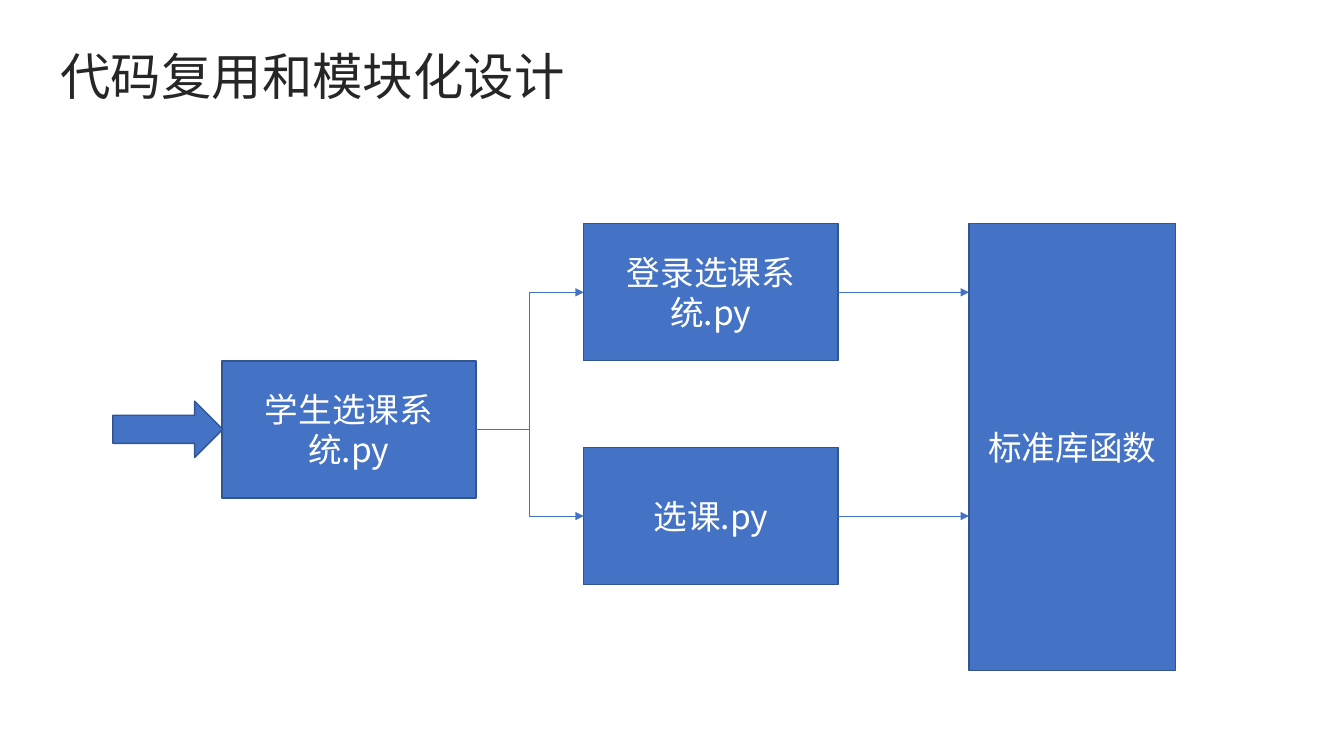
from pptx import Presentation
from pptx.dml.color import RGBColor
from pptx.enum.shapes import MSO_CONNECTOR as Conn, MSO_SHAPE as Kind
from pptx.enum.text import MSO_ANCHOR as Anchor, MSO_AUTO_SIZE as Fit, PP_ALIGN as Align
from pptx.oxml.ns import qn
from pptx.util import Inches, Pt
from lxml.etree import SubElement

FONT = "Noto Sans CJK SC"
BLUE = RGBColor(0x44, 0x72, 0xC4)
EDGE = RGBColor(0x32, 0x54, 0x91)
WHITE = RGBColor(0xFF, 0xFF, 0xFF)
DARK = RGBColor(0x26, 0x26, 0x26)
LEFT, RIGHT = 1, 3


def write(shape, text, size, color, align, anchor):
    frame = shape.text_frame
    frame.text = text
    frame.word_wrap = True
    frame.auto_size = Fit.NONE
    frame.vertical_anchor = anchor
    para = frame.paragraphs[0]
    para.alignment = align
    run = para.runs[0]
    run.font.size = Pt(size)
    run.font.name = FONT
    run.font.color.rgb = color
    SubElement(run.font._element, qn("a:ea")).set("typeface", FONT)
    return para


def add_title(slide, box, text):
    title = slide.shapes.title
    title.left, title.top, title.width, title.height = map(Inches, box)
    para = write(title, text, 36, DARK, Align.LEFT, Anchor.BOTTOM)
    para.line_spacing = 0.9


def add_block(slide, kind, box, text=""):
    block = slide.shapes.add_shape(kind, *map(Inches, box))
    block.shadow.inherit = False
    block.fill.solid()
    block.fill.fore_color.rgb = BLUE
    block.line.color.rgb = EDGE
    block.line.width = Pt(1)
    if text:
        write(block, text, 24, WHITE, Align.CENTER, Anchor.MIDDLE)
    return block


def add_link(slide, kind, start, end):
    y = end.top + end.height // 2 if kind == Conn.ELBOW else start.top + start.height // 2
    link = slide.shapes.add_connector(kind, start.left + start.width, y, end.left, y)
    link.begin_connect(start, RIGHT)
    if kind == Conn.ELBOW:
        link.end_connect(end, LEFT)
    link.line.color.rgb = BLUE
    link.line.width = Pt(0.5)
    SubElement(link.line._get_or_add_ln(), qn("a:tailEnd")).set("type", "triangle")
    SubElement(link._element.spPr, qn("a:effectLst"))


def add_flow(slide, box):
    x, y, w, h = box
    wide, high, step = 2.52, 1.36, 2.22
    mid, last = x + 4.67, x + w - 2.05
    main_y = y + high
    main = add_block(slide, Kind.RECTANGLE, (x + 1.08, main_y, wide, high), "学生选课系统.py")
    parts = [
        add_block(slide, Kind.RECTANGLE, (mid, y + i * step, wide, high), name)
        for i, name in enumerate(("登录选课系统.py", "选课.py"))
    ]
    lib = add_block(slide, Kind.RECTANGLE, (last, y, 2.05, h), "标准库函数")
    add_block(slide, Kind.RIGHT_ARROW, (x, main_y + (high - 0.56) / 2, 1.09, 0.56))
    for part in parts:
        add_link(slide, Conn.ELBOW, main, part)
        add_link(slide, Conn.STRAIGHT, part, lib)


deck = Presentation()
deck.slide_width, deck.slide_height = Inches(13.33), Inches(7.5)
slide = deck.slides.add_slide(deck.slide_layouts[5])
add_title(slide, (0.5, 0.2, 11.01, 0.91), "代码复用和模块化设计")
add_flow(slide, (1.12, 2.22, 10.54, 4.43))
deck.save("out.pptx")
